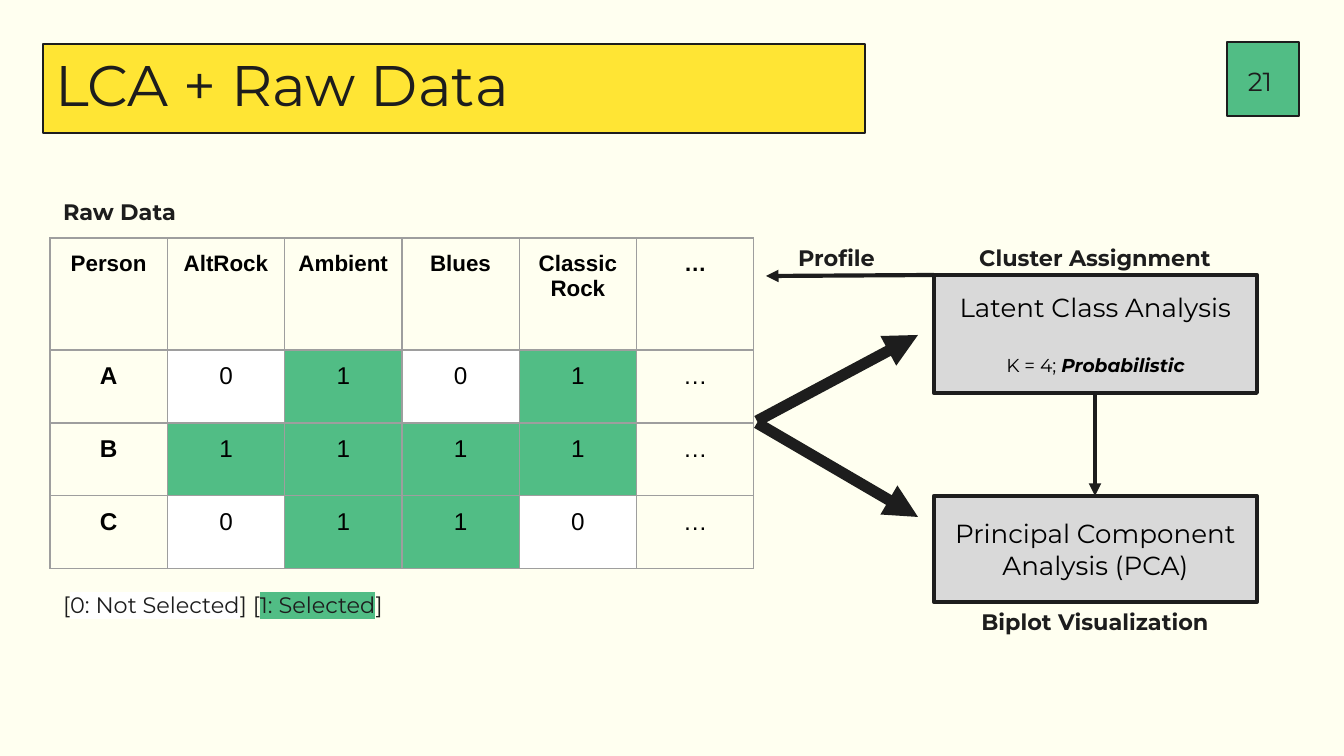
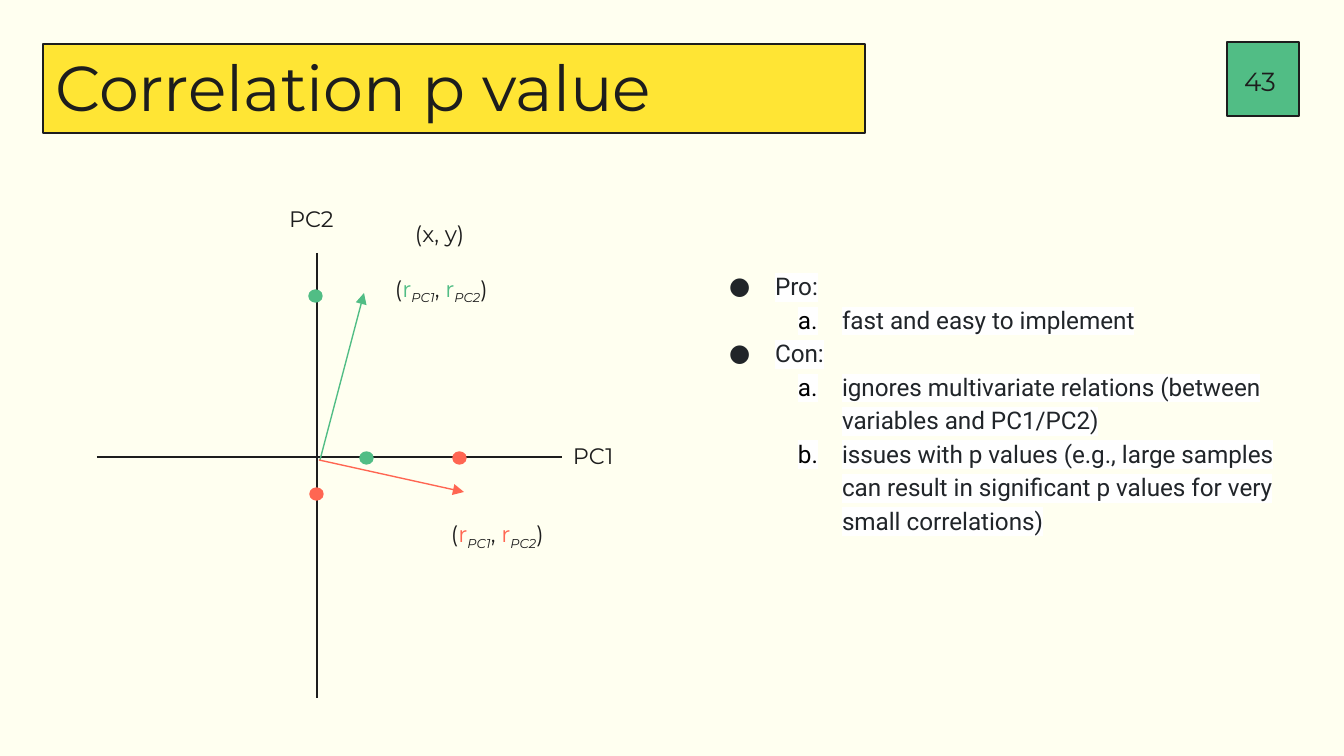
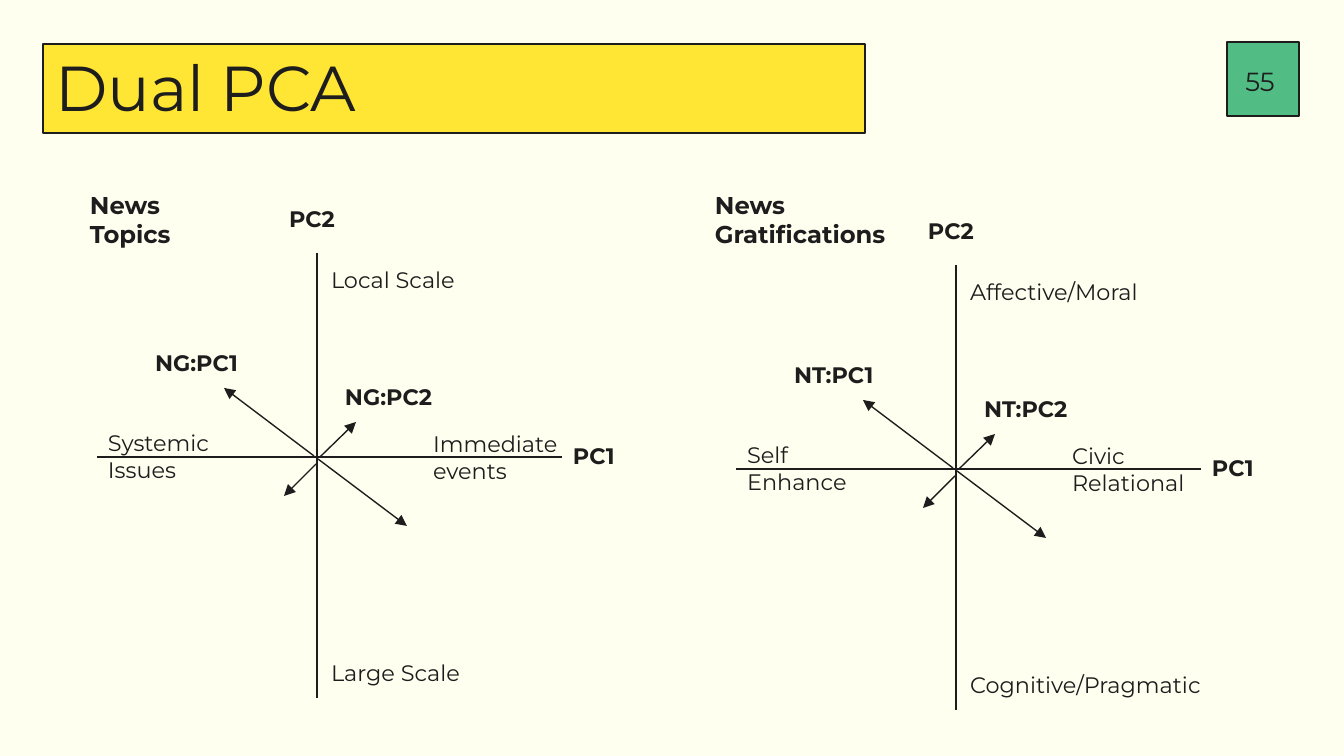
from lxml.etree import SubElement
from pptx import Presentation
from pptx.dml.color import RGBColor
from pptx.enum.shapes import MSO_CONNECTOR as LINK, MSO_SHAPE as FORM
from pptx.enum.text import MSO_ANCHOR as ANCHOR, MSO_AUTO_SIZE as FIT, PP_ALIGN as ALIGN
from pptx.oxml.ns import qn
from pptx.util import Pt

SCALE = 914400 / 134.4
WIDE, HIGH = 1344, 756
INK, BLACK, WHITE, SLATE = "1D1D1D", "000000", "FFFFFF", "212529"
CREAM, YELLOW, GREEN, RED = "FFFFF0", "FFE534", "51BD85", "FF6652"
GRAY, RULE = "D9D9D9", "9E9E9E"
SANS, PLAIN, ROBOTO = "Montserrat", "Arial", "Roboto"
TITLE_ONLY, TITLE_BODY = 5, 1
LINE = 54


def emu(px):
    return round(px * SCALE)


def hue(code):
    return RGBColor.from_string(code)


def tint(parent, tag, code):
    """Add an XML element that holds one solid colour."""
    node = SubElement(parent, qn(tag))
    SubElement(node, qn("a:srgbClr"), val=code)
    return node


class Deck:
    def __init__(self):
        self.prs = Presentation()
        self.prs.slide_width, self.prs.slide_height = emu(WIDE), emu(HIGH)
        self.master = self.prs.slide_master
        fill = self.master.background.fill
        fill.solid()
        fill.fore_color.rgb = hue(CREAM)
        self.slide = None

    def page(self, title, number, size=34, layout=TITLE_ONLY):
        first = self.slide is None
        self.slide = self.prs.slides.add_slide(self.prs.slide_layouts[layout])
        if first:
            self.frame()
        head = self.slide.shapes.title
        self.place(head, (42, 50, 817, 99))
        self.fill(head.text_frame, [title], size=size)
        head.text_frame.paragraphs[0].line_spacing = 0.8
        badge = self.text((1224, 44, 72, 74), [number], size=14,
                          align=ALIGN.CENTER, anchor=ANCHOR.MIDDLE)
        badge.text_frame.auto_size = FIT.NONE

    def frame(self):
        """Put the title band and the number square on the master."""
        for mark, (box, fill) in enumerate([((43, 44, 822, 89), YELLOW),
                                            ((1227, 42, 72, 74), GREEN)]):
            shape = self.shape(FORM.RECTANGLE, box, fill, INK, 1.5)
            shape.element.nvSpPr.cNvPr.set("id", str(90 + mark))
            self.master.shapes.element.insert(2, shape.element)

    def place(self, shape, box):
        shape.left, shape.top, shape.width, shape.height = map(emu, box)

    def style(self, run, size, color=INK, font=SANS, bold=False, italic=False,
              mark=None, sub=False):
        face = run.font
        face.size, face.name, face.bold, face.italic = Pt(size), font, bold, italic
        face.color.rgb = hue(color)
        props = run._r.get_or_add_rPr()
        if sub:
            props.set("baseline", "-25000")
        if mark:
            props.find(qn("a:latin")).addprevious(tint(props, "a:highlight", mark))

    def fill(self, frame, *paras, align=ALIGN.LEFT, anchor=ANCHOR.TOP, **look):
        """Fill a frame; a paragraph is a list of strings or (string, look) pairs."""
        frame.word_wrap, frame.auto_size = True, FIT.NONE
        frame.vertical_anchor = anchor
        self.inset(frame)
        for i, parts in enumerate(paras):
            para = frame.add_paragraph() if i else frame.paragraphs[0]
            self.runs(para, parts, align, **look)

    def inset(self, holder):
        holder.margin_left = holder.margin_right = emu(13)
        holder.margin_top = holder.margin_bottom = emu(13)

    def runs(self, para, parts, align=ALIGN.LEFT, **look):
        para.alignment = align
        for part in parts:
            words, extra = (part, {}) if isinstance(part, str) else part
            run = para.add_run()
            run.text = words
            self.style(run, **{**look, **extra})

    def text(self, box, *paras, size=12, **look):
        shape = self.slide.shapes.add_textbox(*map(emu, box))
        self.fill(shape.text_frame, *paras, size=size, **look)
        shape.text_frame.auto_size = FIT.SHAPE_TO_FIT_TEXT
        return shape

    def shape(self, form, box, fill, edge, weight):
        shape = self.slide.shapes.add_shape(form, *map(emu, box))
        shape.shadow.inherit = False
        shape.fill.solid()
        shape.fill.fore_color.rgb = hue(fill)
        shape.line.color.rgb = hue(edge)
        shape.line.width = Pt(weight)
        return shape

    def step(self, box, *paras):
        shape = self.shape(FORM.RECTANGLE, box, GRAY, INK, 2.25)
        self.fill(shape.text_frame, *paras, size=14, color=BLACK,
                  align=ALIGN.CENTER, anchor=ANCHOR.MIDDLE)
        return shape

    def dot(self, x, y, color):
        self.shape(FORM.OVAL, (x, y, 13, 12), color, color, 0.75)

    def line(self, ends, color=INK, weight=0.75, arrow=True):
        link = self.slide.shapes.add_connector(LINK.STRAIGHT, *map(emu, ends))
        link.line.color.rgb = hue(color)
        link.line.width = Pt(weight)
        props = link.element.spPr
        if arrow:
            SubElement(props.find(qn("a:ln")), qn("a:tailEnd"), type="triangle")
        SubElement(props, qn("a:effectLst"))

    def table(self, box, heights, rows):
        shape = self.slide.shapes.add_table(len(rows), len(rows[0]), *map(emu, box))
        grid = shape.table
        grid.first_row = grid.horz_banding = False
        for col in grid.columns:
            col.width = emu(box[2] / len(rows[0]))
        for r, (row, high) in enumerate(zip(rows, heights)):
            grid.rows[r].height = emu(high)
            for c, words in enumerate(row):
                self.cell(grid.cell(r, c), words, r == 0, c == 0)

    def cell(self, cell, words, head, first):
        props = cell._tc.get_or_add_tcPr()
        for side in "LRTB":
            edge = SubElement(props, qn("a:ln" + side), w=str(Pt(0.75)))
            tint(edge, "a:solidFill", RULE)
        self.inset(cell)
        fill = {"0": WHITE, "1": GREEN}.get(words)
        if fill:
            cell.fill.solid()
            cell.fill.fore_color.rgb = hue(fill)
        else:
            cell.fill.background()
        self.runs(cell.text_frame.paragraphs[0], [words], ALIGN.CENTER,
                  size=12 if head else 13, color=BLACK, font=PLAIN,
                  bold=head or first)

    def points(self, box, items):
        """Fill the body placeholder with (level, text) items."""
        body = self.slide.placeholders[1]
        self.place(body, box)
        self.fill(body.text_frame, *[[words] for _, words in items],
                  size=13, font=ROBOTO, color=SLATE, mark=WHITE)
        for (level, _), para in zip(items, body.text_frame.paragraphs):
            para.level = level
            para.line_spacing, para.space_before = 1.15, Pt(0)
            props = para._p.get_or_add_pPr()
            props.set("marL", str(emu(67 * (level + 1))))
            props.set("indent", str(emu(-44 if level else -46)))
            tint(props, "a:buClr", BLACK if level else SLATE)
            SubElement(props, qn("a:buFont"), typeface=ROBOTO)
            if level:
                SubElement(props, qn("a:buAutoNum"), type="alphaLcPeriod")
            else:
                SubElement(props, qn("a:buChar"), char="●")

    def axes(self, x, y, bold=False):
        """Draw the crossed axes around their centre."""
        self.line((x, y - 204, x, y + 241), arrow=False)
        self.line((x - 220, y, x + 245, y), arrow=False)
        self.text((x + 243, y - 28, 71, LINE), ["PC1"], bold=bold)
        self.text((x - 41, y - 265, 81, LINE), ["PC2"], bold=bold)

    def pair(self, x, y, color):
        """Set a pair of correlations, each with a subscript."""
        letter = ("r", {"color": color})
        low = {"italic": True, "sub": True}
        self.text((x, y, 156, LINE), ["(", letter, ("PC1", low), ", ",
                                      letter, ("PC2", low), ")"])

    def plot(self, x, y, code, top, end, left, right):
        """Draw axes with four arrows and the names of both poles."""
        self.axes(x, y, bold=True)
        for x1, y1, x2, y2 in [(1, 2, 90, 69), (3, 0, 39, -35),
                               (-1, 7, -33, 39), (-3, -1, -93, -69)]:
            self.line((x + x1, y + y1, x + x2, y + y2))
        self.text((x + 15, y - 87, 141, LINE), [code + ":PC2"], bold=True)
        self.text((x - 175, y - 121, 141, LINE), [code + ":PC1"], bold=True)
        self.text((x + 1, y - 204, 266, LINE), [top])
        self.text((x + 1, y + 189, 266, LINE), [end])
        self.text((x - 222, y - 41, 188, 82), *left)
        self.text((x + 103, y - 40, 188, 82), *right)


def raw_data(deck):
    deck.page("LCA + Raw Data", "21", size=30.6)
    deck.table((50, 238, 704, 331), (112, 73, 73, 73), [
        ["Person", "AltRock", "Ambient", "Blues", "Classic Rock", "…"],
        ["A", "0", "1", "0", "1", "…"],
        ["B", "1", "1", "1", "1", "…"],
        ["C", "0", "1", "1", "0", "…"]])
    lca = deck.step((934, 275, 323, 118), ["Latent Class Analysis"],
                    [("K = 4; ", {"size": 10}),
                     ("Probabilistic", {"size": 10, "bold": True, "italic": True})])
    lca.text_frame.paragraphs[1].space_before = Pt(17)
    deck.step((934, 496, 323, 106), ["Principal Component Analysis (PCA)"])
    for y1, y2 in [(421, 335), (423, 517)]:
        deck.line((757, y1, 918, y2), weight=6)
    deck.line((1095, 394, 1095, 496), weight=2.25)
    deck.line((934, 275, 766, 276), weight=2.25)
    for x, y, wide, words in [(953, 231, 284, "Cluster Assignment"),
                              (953, 595, 284, "Biplot Visualization"),
                              (778, 231, 117, "Profile")]:
        deck.text((x, y, wide, LINE), [words], bold=True, align=ALIGN.CENTER)
    deck.text((50, 185, 284, LINE), ["Raw Data"], bold=True)
    deck.text((50, 578, 704, LINE), ["[", ("0: Not Selected", {"mark": WHITE}), "] [",
                                     ("1: Selected", {"mark": GREEN}), "]"])


def p_value(deck):
    deck.page("Correlation p value", "43", layout=TITLE_BODY)
    deck.axes(317, 457)
    deck.line((320, 460, 364, 293), GREEN)
    deck.line((319, 460, 464, 492), RED)
    for x, y, color in [(309, 290, GREEN), (360, 452, GREEN),
                        (453, 452, RED), (310, 488, RED)]:
        deck.dot(x, y, color)
    deck.pair(382, 262, GREEN)
    deck.pair(438, 507, RED)
    deck.text((402, 207, 97, LINE), ["(x, y)"])
    deck.points((695, 254, 621, 293), [
        (0, "Pro:"),
        (1, "fast and easy to implement"),
        (0, "Con:"),
        (1, "ignores multivariate relations (between variables and PC1/PC2)"),
        (1, "issues with p values (e.g., large samples can result in significant "
            "p values for very small correlations)")])


def dual_pca(deck):
    deck.page("Dual PCA", "55")
    deck.text((77, 177, 136, 86), ["News Topics"], size=13, bold=True)
    deck.text((702, 177, 202, 86), ["News Gratifications"], size=13, bold=True)
    deck.plot(317, 457, "NG", "Local Scale", "Large Scale",
              [["Systemic"], ["Issues"]], [["Immediate events"]])
    deck.plot(956, 469, "NT", "Affective/Moral", "Cognitive/Pragmatic",
              [["Self"], ["Enhance"]], [["Civic"], ["Relational"]])


def main():
    deck = Deck()
    raw_data(deck)
    p_value(deck)
    dual_pca(deck)
    deck.prs.save("out.pptx")


if __name__ == "__main__":
    main()
